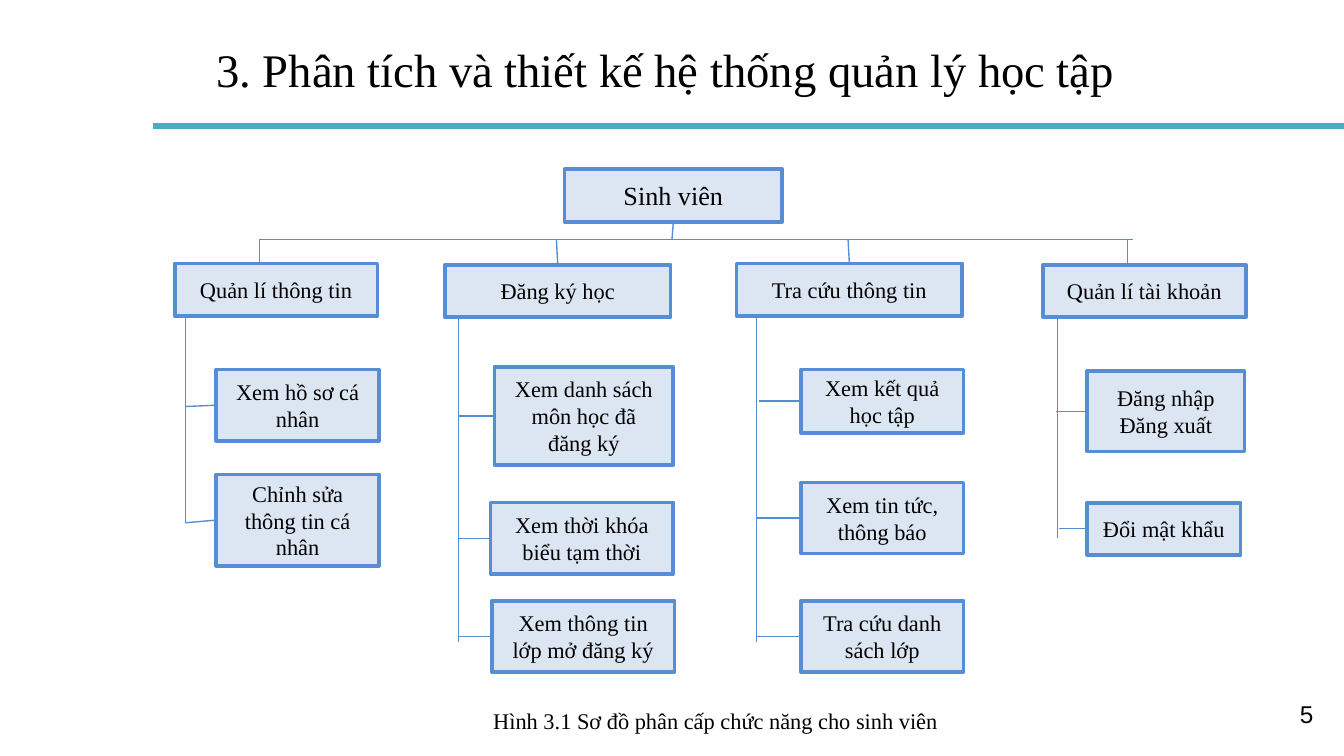
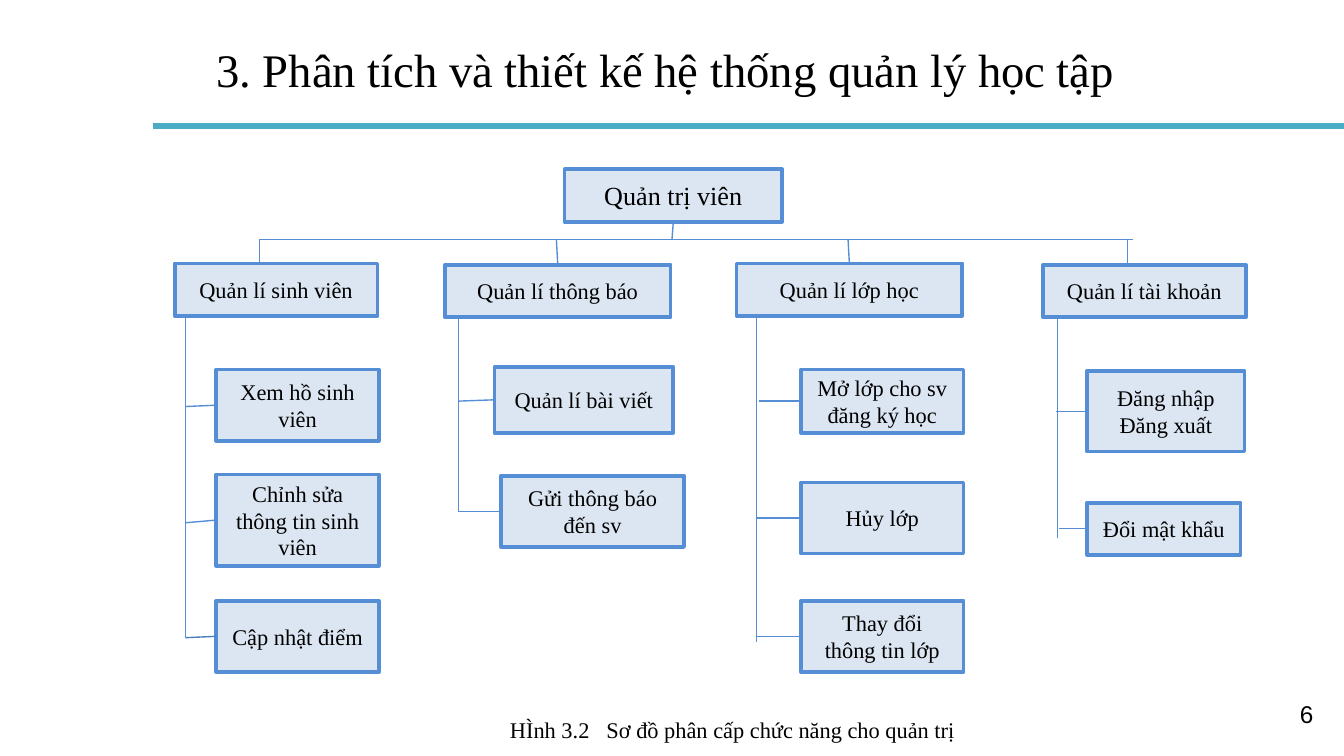
from dataclasses import dataclass

from lxml import etree
from pptx import Presentation
from pptx.dml.color import RGBColor
from pptx.enum.shapes import MSO_CONNECTOR, MSO_SHAPE
from pptx.enum.text import MSO_ANCHOR, MSO_AUTO_SIZE, PP_ALIGN
from pptx.oxml.ns import qn
from pptx.util import Inches, Pt

STRAIGHT = MSO_CONNECTOR.STRAIGHT
RECTANGLE = MSO_SHAPE.RECTANGLE
MIDDLE = MSO_ANCHOR.MIDDLE
NO_AUTOFIT = MSO_AUTO_SIZE.NONE
LEFT, CENTER, RIGHT = PP_ALIGN.LEFT, PP_ALIGN.CENTER, PP_ALIGN.RIGHT
TOP_SITE, LEFT_SITE, BOTTOM_SITE = 0, 1, 2

# Shared look
BLACK = RGBColor(0x00, 0x00, 0x00)
BOX_FILL = RGBColor(0xDC, 0xE6, 0xF2)
EDGE = RGBColor(0x55, 0x8E, 0xD5)
DARK_EDGE = RGBColor(0x4B, 0x7E, 0xBC)
TEAL = RGBColor(0x4B, 0xAC, 0xC6)
SERIF = "Times New Roman"
SANS = "Arial"
TITLE = "3. Phân tích và thiết kế hệ thống quản lý học tập"

# Shared tree geometry, in inches
HEAD_H = 0.39
BUS_Y = 1.78
SPINE_TOP = 2.35
LEAF_H = 0.53


@dataclass(frozen=True)
class Box:
    x: float
    y: float
    w: float
    h: float = HEAD_H


@dataclass(frozen=True)
class Column:
    head: Box
    drop_x: float
    drop_centred: bool
    spine_x: float


@dataclass(frozen=True)
class Leaf:
    text: str
    box: Box
    stub_dx: float = 0
    stub_dy: float = 0
    stub_color: RGBColor = EDGE


@dataclass(frozen=True)
class Branch:
    head: str
    spine_end: float
    leaves: tuple[Leaf, ...]


@dataclass(frozen=True)
class Caption:
    label: str
    text: str
    box: Box
    gap: int = 0  # extra space after the label, in points


@dataclass(frozen=True)
class TreeSlide:
    number: int
    root: str
    branches: tuple[Branch, ...]
    caption: Caption


ROOT = Box(4.2, 1.26, 1.62)
COLUMNS = (
    Column(Box(1.3, 1.96, 1.51), 1.93, False, 1.38),
    Column(Box(3.31, 1.97, 1.68), 4.14, True, 3.41),
    Column(Box(5.48, 1.96, 1.68), 6.31, True, 5.63),
    Column(Box(7.76, 1.97, 1.51), 8.39, False, 7.87),
)

# Leaf places used on both slides
PROFILE = Box(1.61, 2.75, 1.21, LEAF_H)
EDIT = Box(1.61, 3.53, 1.21, 0.68)
GRADES = Box(1.61, 4.47, 1.21, LEAF_H)
THIRD = (Box(5.96, 2.75, 1.21, 0.47), Box(5.96, 3.59, 1.21, LEAF_H),
         Box(5.96, 4.47, 1.21, LEAF_H))


def third_branch(head: str, first: str, second: str, last: str) -> Branch:
    return Branch(head, 4.78, (
        Leaf(first, THIRD[0], stub_dx=0.02),
        Leaf(second, THIRD[1]),
        Leaf(last, THIRD[2]),
    ))


ACCOUNT = Branch("Quản lí tài khoản", 4, (
    Leaf("Đăng nhập\nĐăng xuất", Box(8.09, 2.76, 1.17, 0.6), stub_dx=-0.01),
    Leaf("Đổi mật khẩu", Box(8.09, 3.74, 1.14), stub_dx=0.01),
))

SLIDES = (
    TreeSlide(5, "Sinh viên", (
        Branch("Quản lí thông tin", 3.89, (
            Leaf("Xem hồ sơ cá nhân", PROFILE, stub_dy=0.01),
            Leaf("Chỉnh sửa thông tin cá nhân", EDIT, stub_dy=0.02),
        )),
        Branch("Đăng ký học", 4.78, (
            Leaf("Xem danh sách môn học đã đăng ký", Box(3.68, 2.73, 1.33, 0.73)),
            Leaf("Xem thời khóa biểu tạm thời", Box(3.65, 3.74, 1.36, LEAF_H)),
            Leaf("Xem thông tin lớp mở đăng ký", Box(3.66, 4.47, 1.36, LEAF_H)),
        )),
        third_branch("Tra cứu thông tin", "Xem kết quả\nhọc tập",
                     "Xem tin tức, thông báo", "Tra cứu danh sách lớp"),
        ACCOUNT,
    ), Caption("Hình 3.1", "Sơ đồ phân cấp chức năng cho sinh viên",
               Box(1.47, 5.21, 6.71, 0.3))),
    TreeSlide(6, "Quản trị viên", (
        Branch("Quản lí sinh viên", 4.74, (
            Leaf("Xem hồ sinh viên", PROFILE, stub_dy=0.01),
            Leaf("Chỉnh sửa thông tin sinh viên", EDIT, stub_dy=0.02),
            Leaf("Cập nhật điểm", GRADES, stub_dy=0.01, stub_color=DARK_EDGE),
        )),
        Branch("Quản lí thông báo", 3.81, (
            Leaf("Quản lí bài viết", Box(3.68, 2.73, 1.33, 0.49), stub_dy=0.01),
            Leaf("Gửi thông báo đến sv", Box(3.73, 3.54, 1.36, LEAF_H)),
        )),
        third_branch("Quản lí lớp học", "Mở lớp cho sv đăng ký học",
                     "Hủy lớp", "Thay đổi thông tin lớp"),
        ACCOUNT,
    ), Caption("HÌnh 3.2", "Sơ đồ phân cấp chức năng cho quản trị",
               Box(1.3, 5.28, 7.3, 0.3), gap=6)),
)


def frame(box: Box) -> tuple:
    return Inches(box.x), Inches(box.y), Inches(box.w), Inches(box.h)


def format_text(tf, size: float, align, font: str = SERIF) -> None:
    tf.word_wrap = True
    for p in tf.paragraphs:
        p.alignment = align
        p.font.size = Pt(size)
        p.font.name = font
        p.font.color.rgb = BLACK


def add_line(slide, x1: float, y1: float, x2: float, y2: float,
             color: RGBColor = EDGE, width: float = 0.75):
    line = slide.shapes.add_connector(
        STRAIGHT, Inches(x1), Inches(y1), Inches(x2), Inches(y2))
    line.line.color.rgb = color
    line.line.width = Pt(width)
    etree.SubElement(line.element.spPr, qn("a:effectLst"))
    return line


def add_box(slide, text: str, box: Box, size: float = 12):
    sp = slide.shapes.add_shape(RECTANGLE, *frame(box))
    sp.shadow.inherit = False
    sp.fill.solid()
    sp.fill.fore_color.rgb = BOX_FILL
    sp.line.color.rgb = EDGE
    sp.line.width = Pt(2)
    tf = sp.text_frame
    tf.text = text
    tf.vertical_anchor = MIDDLE
    format_text(tf, size, CENTER)
    return sp


def add_title(slide) -> None:
    title = slide.shapes.title
    title.left, title.top, title.width, title.height = frame(Box(1.61, 0.2, 8.05, 0.63))
    tf = title.text_frame
    tf.text = TITLE
    tf.auto_size = NO_AUTOFIT
    tf.vertical_anchor = MIDDLE
    tf.margin_left = tf.margin_right = tf.margin_top = tf.margin_bottom = 0
    format_text(tf, 25, LEFT)


def add_number(slide, number: int) -> None:
    tf = slide.shapes.add_textbox(*frame(Box(9.27, 5.1, 0.6, 0.43))).text_frame
    tf.text = str(number)
    tf.margin_left = tf.margin_right = tf.margin_top = tf.margin_bottom = Inches(0.1)
    format_text(tf, 13, RIGHT, SANS)


def add_caption(slide, caption: Caption) -> None:
    tf = slide.shapes.add_textbox(*frame(caption.box)).text_frame
    tf.margin_left = Inches(1.1)
    p = tf.paragraphs[0]
    if caption.gap:
        for text in (caption.label, " ", caption.text):
            r = p.add_run()
            r.text = text
        # Widen the space by character spacing, in hundredths of a point
        p.runs[1]._r.get_or_add_rPr().set("spc", str(caption.gap * 100))
    else:
        p.text = f"{caption.label} {caption.text}"
    format_text(tf, 12, CENTER)


def add_branch(slide, column: Column, branch: Branch) -> None:
    head = add_box(slide, branch.head, column.head)
    drop = add_line(slide, column.drop_x, BUS_Y, column.drop_x, column.head.y)
    if column.drop_centred:
        drop.end_connect(head, TOP_SITE)
    add_line(slide, column.spine_x, SPINE_TOP, column.spine_x, branch.spine_end)
    for leaf in branch.leaves:
        box = leaf.box
        sp = add_box(slide, leaf.text, box)
        middle = box.y + box.h / 2
        stub = add_line(slide, column.spine_x + leaf.stub_dx, middle + leaf.stub_dy,
                        box.x, middle, leaf.stub_color)
        stub.end_connect(sp, LEFT_SITE)


def build_slide(prs, content: TreeSlide) -> None:
    slide = prs.slides.add_slide(prs.slide_layouts[5])
    # Title, rule and slide number
    add_line(slide, 1.14, 0.94, 10, 0.94, TEAL, 3)
    add_title(slide)
    add_number(slide, content.number)
    # Root and bus
    root = add_box(slide, content.root, ROOT, 14)
    add_line(slide, 8.43, BUS_Y, COLUMNS[0].drop_x, BUS_Y)
    trunk = add_line(slide, 5.01, ROOT.y + ROOT.h, 5, BUS_Y)
    trunk.begin_connect(root, BOTTOM_SITE)
    # Branches
    for column, branch in zip(COLUMNS, content.branches):
        add_branch(slide, column, branch)
    add_caption(slide, content.caption)


def main() -> None:
    prs = Presentation()
    prs.slide_width = Inches(10)
    prs.slide_height = Inches(10 * 9 / 16)
    for content in SLIDES:
        build_slide(prs, content)
    prs.save("out.pptx")


if __name__ == "__main__":
    main()
